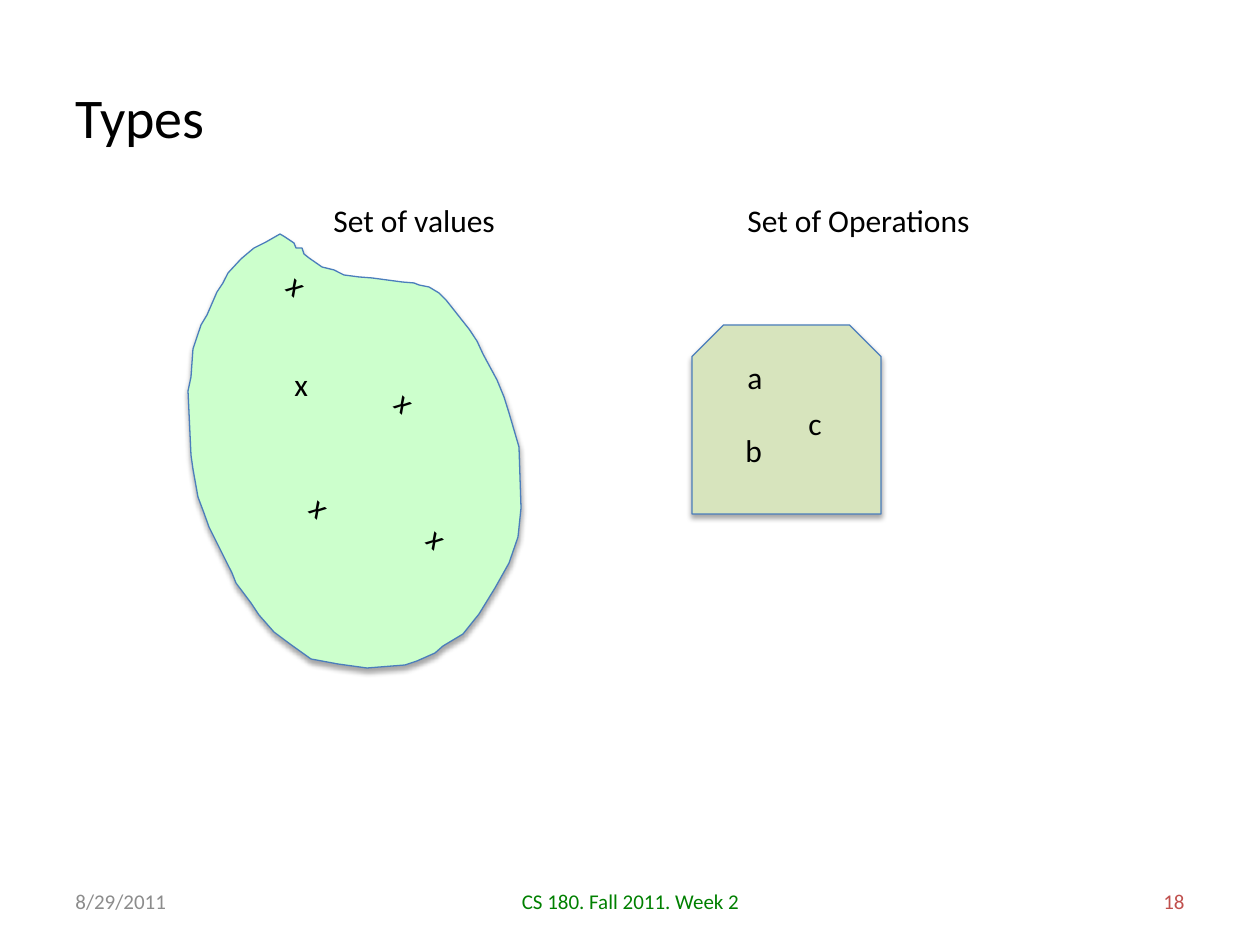
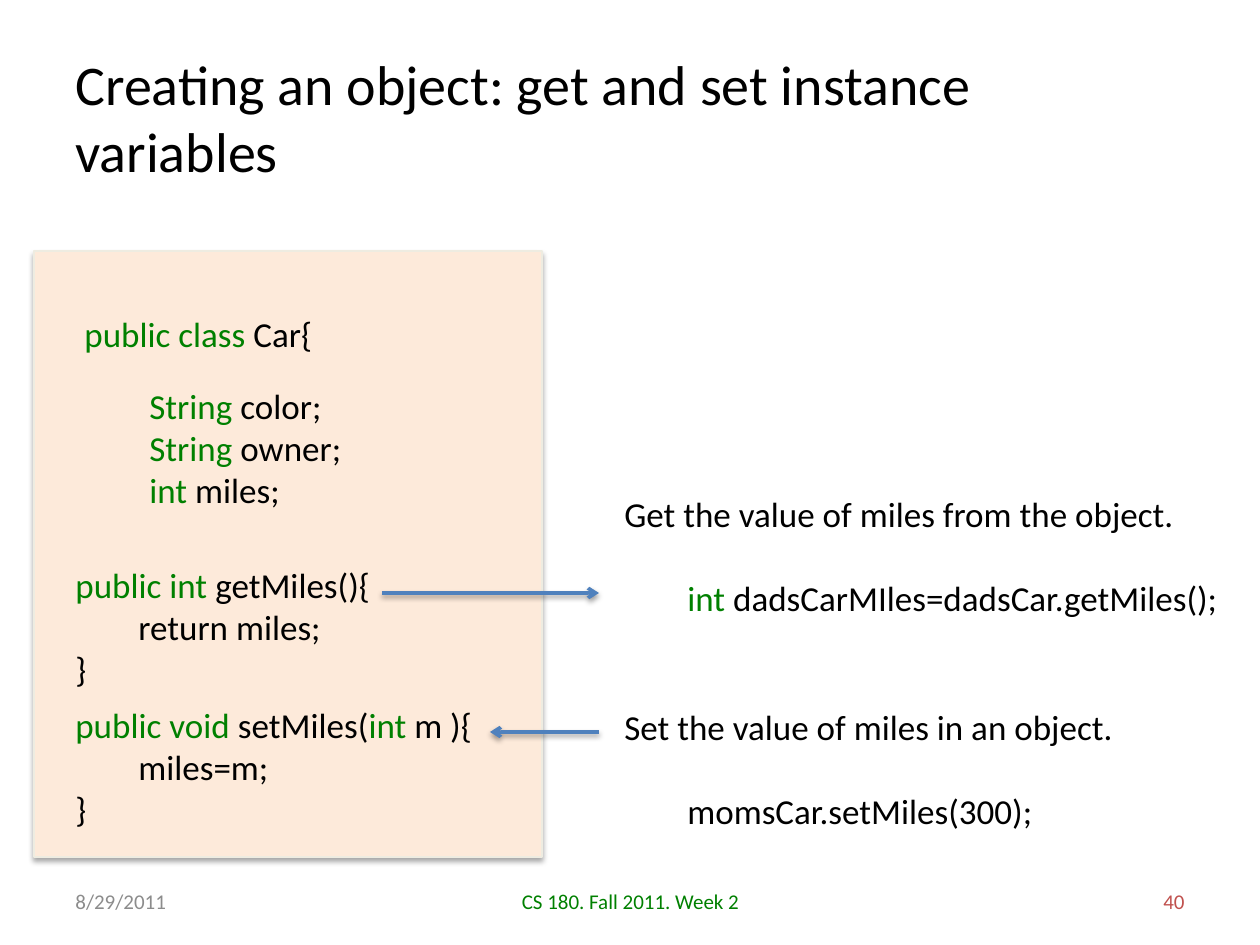
import dataclasses

import lxml.etree
import pptx
import pptx.dml.color
import pptx.enum.shapes
import pptx.enum.text
import pptx.oxml.ns
import pptx.util

PIXELS_PER_INCH = 126
SHAPES = pptx.enum.shapes.MSO_SHAPE
ALIGN = pptx.enum.text.PP_ALIGN
ANCHOR = pptx.enum.text.MSO_ANCHOR


@dataclasses.dataclass(frozen=True)
class Theme:
    """Colours, font and type sizes shared by the slides."""
    font: str = "Calibri"
    title_size: int = 32
    code_size: int = 20
    label_size: int = 18
    footer_size: int = 12
    text: str = "000000"
    keyword: str = "008000"
    date: str = "8C8C8C"
    number: str = "C0504D"
    values_fill: str = "CCFFCC"
    operations_fill: str = "D7E4BD"
    outline: str = "4B7EBC"
    code_fill: str = "FDEADA"
    code_outline: str = "EEECE1"
    arrow: str = "4F81BD"


THEME = Theme()


@dataclasses.dataclass(frozen=True)
class Box:
    """A rectangle in pixels."""
    left: int
    top: int
    width: int
    height: int

    def inner(self, left, top, width, height):
        """Return a box placed relative to this one."""
        return Box(self.left + left, self.top + top, width, height)

    def emu(self):
        """Return left, top, width and height in EMU."""
        return [px(n) for n in (self.left, self.top, self.width, self.height)]


@dataclasses.dataclass(frozen=True)
class Line:
    """A paragraph: (text, colour) runs, an indent in pixels and space before in points."""
    runs: tuple
    indent: int = 0
    before: int = 0


def px(pixels):
    """Turn pixels into EMU."""
    return pptx.util.Emu(round(pixels * 914400 / PIXELS_PER_INCH))


def rgb(value):
    """Turn a hex string into a colour."""
    return pptx.dml.color.RGBColor.from_string(value)


def plain(text, **layout):
    """Return a line in the text colour."""
    return Line(((text, THEME.text),), **layout)


def code(*parts, **layout):
    """Return a line whose runs alternate between keyword and text colour."""
    colors = (THEME.keyword, THEME.text)
    return Line(tuple((part, colors[i % 2]) for i, part in enumerate(parts)), **layout)


def add_text(slide, box, text, size=THEME.label_size, color=THEME.text, align=ALIGN.LEFT,
             anchor=ANCHOR.TOP, wrap=True, rotation=0):
    """Add a text box holding a string or a list of lines."""
    shape = slide.shapes.add_textbox(*box.emu())
    shape.rotation = rotation
    frame = shape.text_frame
    frame.word_wrap = wrap
    frame.vertical_anchor = anchor
    lines = [Line(((text, color),))] if isinstance(text, str) else text
    for index, line in enumerate(lines):
        paragraph = frame.add_paragraph() if index else frame.paragraphs[0]
        paragraph.alignment = align
        if line.before:
            paragraph.space_before = pptx.util.Pt(line.before)
        if line.indent:
            paragraph._p.get_or_add_pPr().set("marL", str(px(line.indent)))
        for content, run_color in line.runs:
            run = paragraph.add_run()
            run.text = content
            run.font.name = THEME.font
            run.font.size = pptx.util.Pt(size)
            run.font.color.rgb = rgb(run_color)
    return shape


def add_shadow(shape, distance=1.8, opacity=35):
    """Give a shape or connector a soft shadow straight below it."""
    qn = pptx.oxml.ns.qn
    effects = lxml.etree.SubElement(shape._element.spPr, qn("a:effectLst"))
    shadow = lxml.etree.SubElement(
        effects, qn("a:outerShdw"), blurRad=str(pptx.util.Pt(3.1)),
        dist=str(pptx.util.Pt(distance)), dir="5400000", rotWithShape="0")
    color = lxml.etree.SubElement(shadow, qn("a:srgbClr"), val="000000")
    lxml.etree.SubElement(color, qn("a:alpha"), val=str(opacity * 1000))


def style_shape(shape, fill, line):
    """Fill and outline a shape and add its shadow."""
    shape.fill.solid()
    shape.fill.fore_color.rgb = rgb(fill)
    shape.line.color.rgb = rgb(line)
    shape.line.width = pptx.util.Pt(0.75)
    add_shadow(shape)


def add_arrow(slide, start, end):
    """Add a shadowed arrow between two pixel points."""
    connector = slide.shapes.add_connector(
        pptx.enum.shapes.MSO_CONNECTOR.STRAIGHT, *[px(n) for n in (*start, *end)])
    connector.line.color.rgb = rgb(THEME.arrow)
    connector.line.width = pptx.util.Pt(2)
    lxml.etree.SubElement(connector.line._get_or_add_ln(),
                          pptx.oxml.ns.qn("a:tailEnd"), type="arrow")
    add_shadow(connector, distance=1.6, opacity=38)


def add_frame(presentation, title, number):
    """Add a slide with its title and footer row."""
    slide = presentation.slides.add_slide(presentation.slide_layouts[6])
    add_text(slide, Box(63, 38, 1134, 157), title, size=THEME.title_size, anchor=ANCHOR.MIDDLE)
    footer = Box(63, 876, 1134, 50)
    for left, width, text, color, align in (
            (840, 294, str(number), THEME.number, ALIGN.RIGHT),
            (368, 399, "CS 180. Fall 2011. Week 2", THEME.keyword, ALIGN.CENTER),
            (0, 294, "8/29/2011", THEME.date, ALIGN.LEFT)):
        add_text(slide, footer.inner(left, 0, width, 50), text, size=THEME.footer_size,
                 color=color, align=align, anchor=ANCHOR.MIDDLE)
    return slide


BLOB_OUTLINE = (
    (92, 1), (78, 9), (66, 15), (60, 20), (53, 26), (40, 40), (35, 50), (29, 59), (19, 82),
    (13, 92), (5, 116), (3, 144), (0, 158), (3, 222), (5, 236), (10, 264), (16, 280),
    (21, 294), (44, 340), (48, 350), (63, 370), (71, 382), (86, 399), (102, 411), (123, 426),
    (150, 431), (179, 435), (217, 432), (229, 428), (247, 420), (255, 413), (275, 401),
    (291, 381), (307, 355), (321, 330), (330, 304), (333, 275), (331, 214), (321, 180),
    (316, 164), (309, 147), (295, 121), (289, 108), (281, 96), (258, 67), (251, 60),
    (241, 54), (231, 52), (226, 50), (214, 49), (184, 45), (171, 44), (156, 42), (152, 40),
    (146, 37), (134, 34), (121, 25), (116, 21), (114, 15), (108, 15), (106, 10), (97, 4))


def draw_values(slide, box):
    """Draw the set of values: a blob with scattered marks."""
    points = [(px(box.left + x), px(box.top + 38 + y)) for x, y in BLOB_OUTLINE]
    builder = slide.shapes.build_freeform(*points[0])
    builder.add_line_segments(points[1:], close=True)
    style_shape(builder.convert_to_shape(), THEME.values_fill, THEME.outline)
    add_text(slide, box.inner(133, 0, 189, 50), "Set of values", wrap=False)
    for left, top, rotation in ((94, 164, 0), (223, 325, 221.5), (106, 294, 221.5),
                                (83, 72, 221.5), (191, 189, 221.5)):
        add_text(slide, box.inner(left, top, 39, 50), "x", wrap=False, rotation=rotation)


def draw_operations(slide, box):
    """Draw the set of operations: a snipped square with letters."""
    square = slide.shapes.add_shape(SHAPES.SNIP_2_SAME_RECTANGLE,
                                    *box.inner(0, 130, 189, 189).emu())
    style_shape(square, THEME.operations_fill, THEME.outline)
    add_text(slide, box.inner(43, 0, 251, 50), "Set of Operations", wrap=False)
    for letter, left, top in (("a", 43, 157), ("b", 41, 230), ("c", 104, 203)):
        add_text(slide, box.inner(left, top, 40, 50), letter, wrap=False)


def draw_class(slide, box):
    """Draw the card with the class source."""
    card = slide.shapes.add_shape(SHAPES.RECTANGLE, *box.emu())
    style_shape(card, THEME.code_fill, THEME.code_outline)
    blocks = (
        ((38, 55, 296, 55), [code("public class", " Car{")]),
        ((29, 306, 359, 140), [code("public int ", "getMiles(){"),
                               plain("return miles;", indent=63), plain("}")]),
        ((103, 127, 265, 146), [code("String", " color;"), code("String", " owner;"),
                                code("int", " miles;")]),
        ((29, 446, 427, 140), [code("public void ", "setMiles(", "int", " m ){"),
                               plain("miles=m;", indent=63), plain("}")]))
    for place, lines in blocks:
        add_text(slide, box.inner(*place), lines, size=THEME.code_size)


def draw_call(slide, box, lines, arrow_from, arrow_to, arrow_top):
    """Draw an explanation with a sample call and the arrow at its left."""
    add_text(slide, box, lines, size=THEME.code_size, wrap=False)
    top = box.top + arrow_top
    add_arrow(slide, (box.left + arrow_from, top), (box.left + arrow_to, top))


def build_types_slide(presentation):
    """Build the slide on types."""
    slide = add_frame(presentation, "Types", 18)
    draw_values(slide, Box(188, 195, 333, 473))
    draw_operations(slide, Box(692, 195, 294, 319))


def build_accessors_slide(presentation):
    """Build the slide on getting and setting instance variables."""
    slide = add_frame(presentation, "Creating an object: get and set instance variables", 40)
    draw_class(slide, Box(34, 251, 508, 606))
    call_layout = {"indent": 63, "before": 24}
    draw_call(slide, Box(612, 486, 629, 140),
              [plain("Get the value of miles from the object."),
               code("int ", "dadsCarMIles=dadsCar.getMiles();", **call_layout)],
              arrow_from=-230, arrow_to=-13, arrow_top=107)
    draw_call(slide, Box(612, 699, 519, 140),
              [plain("Set the value of miles in an object."),
               plain("momsCar.setMiles(300);", **call_layout)],
              arrow_from=-13, arrow_to=-122, arrow_top=33)


def main():
    """Build and save the presentation."""
    presentation = pptx.Presentation()
    presentation.slide_width = px(1260)
    presentation.slide_height = px(945)
    build_types_slide(presentation)
    build_accessors_slide(presentation)
    presentation.save("out.pptx")


main()
